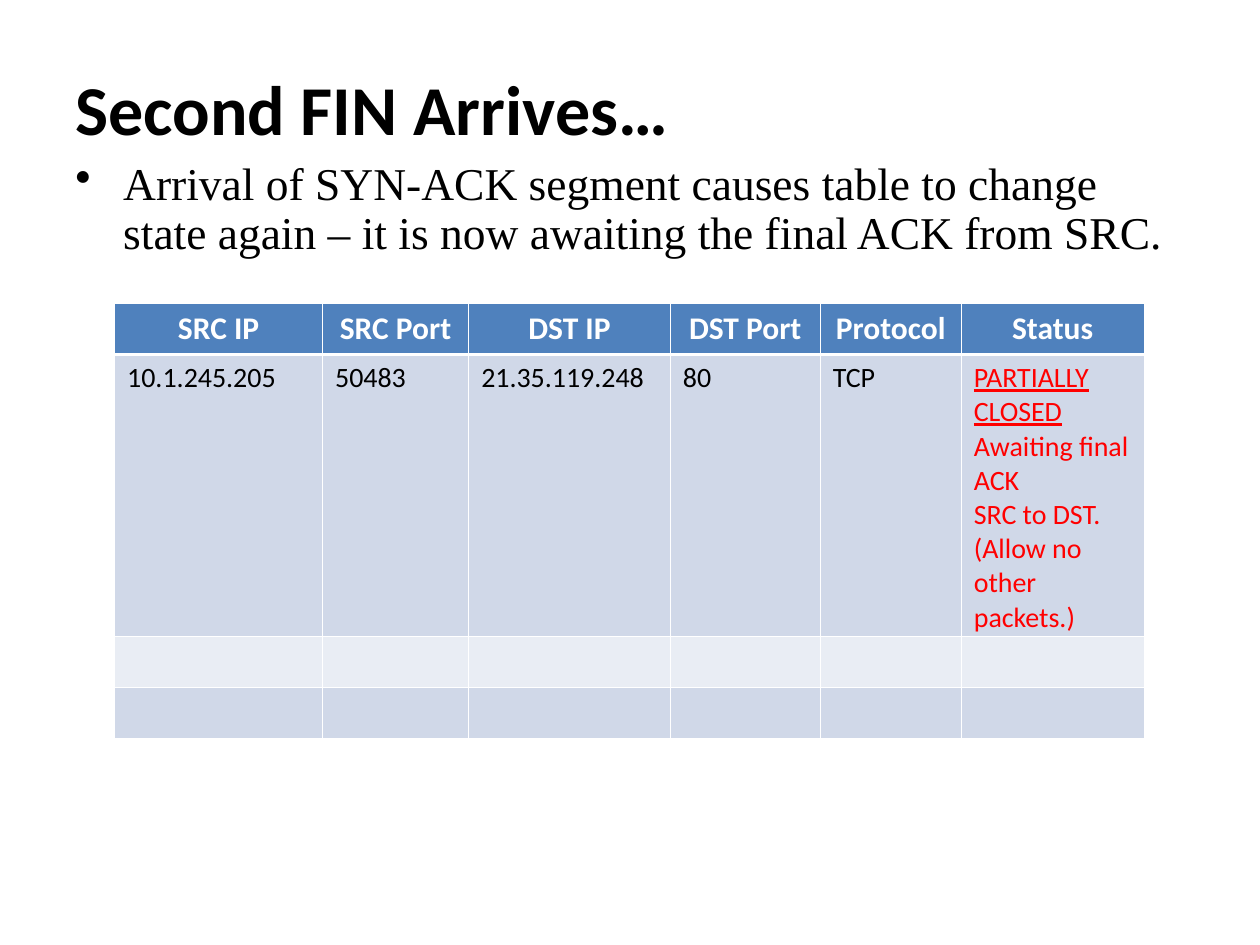
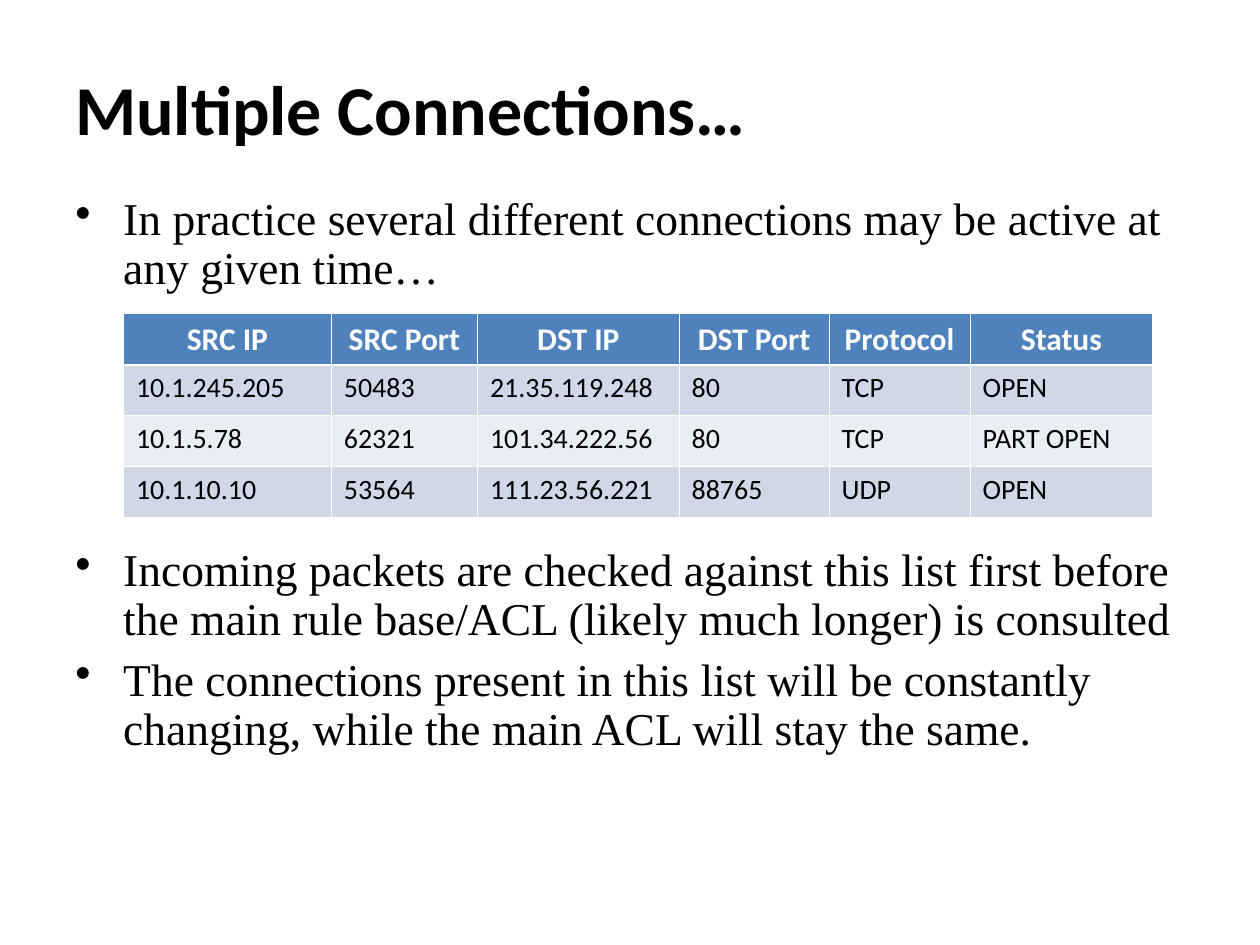
from dataclasses import dataclass

import pptx
import pptx.dml.color
import pptx.enum.text
import pptx.oxml.ns
import pptx.util
from lxml import etree

Inches = pptx.util.Inches
Pt = pptx.util.Pt


@dataclass(frozen=True)
class Theme:
    text: str = "000000"
    border: str = "FFFFFF"
    header_text: str = "FFFFFF"
    header_fill: str = "4F81BD"
    band_fills: tuple = ("D0D8E8", "E9EDF4")
    alert: str = "FF0000"
    heading_font: str = "Calibri"
    body_font: str = "Times New Roman"
    title_size: float = 40
    body_size: float = 26
    header_size: float = 18
    cell_size: float = 16
    bullet_gap: float = 6.5
    thin_line: float = 0.45
    header_line: float = 1.47


THEME = Theme()
TITLE_BOX = (0.5, 0.31, 9, 1.09)
HEADERS = ("SRC IP", "SRC Port", "DST IP", "DST Port", "Protocol", "Status")
COLUMN_WIDTHS = (1.65, 1.16, 1.6, 1.19, 1.12, 1.45)
TABLE_HEIGHT = 1.62
TABLE_ROWS = 4
CLOSING_ROW_HEIGHT = 2.23


def rgb(color):
    return pptx.dml.color.RGBColor.from_string(color)


def format_runs(paragraph, font, size, color, bold=False):
    for run in paragraph.runs:
        run.font.name = font
        run.font.size = Pt(size)
        run.font.bold = bold
        run.font.color.rgb = rgb(color)


def add_element(parent, tag, **attributes):
    return etree.SubElement(parent, pptx.oxml.ns.qn(tag), **attributes)


def add_text_frame(slide, box):
    text_frame = slide.shapes.add_textbox(*map(Inches, box)).text_frame
    text_frame.word_wrap = True
    return text_frame


def add_title(slide, box, title):
    text_frame = add_text_frame(slide, box)
    text_frame.vertical_anchor = pptx.enum.text.MSO_ANCHOR.MIDDLE
    text_frame.text = title
    format_runs(text_frame.paragraphs[0], THEME.heading_font,
                THEME.title_size, THEME.text, bold=True)


def add_bullets(slide, box, bullets, gaps=()):
    """Add bulleted paragraphs; gaps are the points before each one after the first."""
    text_frame = add_text_frame(slide, box)
    text_frame.text = "\n".join(bullets)
    for paragraph in text_frame.paragraphs:
        properties = paragraph._p.get_or_add_pPr()
        properties.set("marL", str(Inches(0.38)))
        properties.set("indent", str(-Inches(0.38)))
        bullet_color = add_element(properties, "a:buClr")
        add_element(bullet_color, "a:srgbClr", val=THEME.text)
        add_element(properties, "a:buChar", char="•")
        paragraph.line_spacing = 0.9
        format_runs(paragraph, THEME.body_font, THEME.body_size, THEME.text)
    for paragraph, gap in zip(text_frame.paragraphs[1:], gaps):
        paragraph.space_before = Pt(gap)


def set_borders(cell, top, bottom):
    properties = cell._tc.get_or_add_tcPr()
    widths = {"a:lnL": THEME.thin_line, "a:lnR": THEME.thin_line,
              "a:lnT": top, "a:lnB": bottom}
    for tag, width in widths.items():
        line = add_element(properties, tag, w=str(Pt(width)))
        fill = add_element(line, "a:solidFill")
        add_element(fill, "a:srgbClr", val=THEME.border)


def fill_cell(cell, text, row_index):
    is_header = row_index == 0
    set_borders(cell,
                top=THEME.header_line if row_index == 1 else THEME.thin_line,
                bottom=THEME.header_line if is_header else THEME.thin_line)
    cell.fill.solid()
    cell.fill.fore_color.rgb = rgb(
        THEME.header_fill if is_header else THEME.band_fills[(row_index - 1) % 2])
    cell.text = text
    for paragraph in cell.text_frame.paragraphs:
        if is_header:
            paragraph.alignment = pptx.enum.text.PP_ALIGN.CENTER
            format_runs(paragraph, THEME.heading_font, THEME.header_size,
                        THEME.header_text, bold=True)
        else:
            format_runs(paragraph, THEME.heading_font, THEME.cell_size, THEME.text)


def add_connection_table(slide, left, top, connections):
    """Add the state table, leaving rows beyond the given connections empty."""
    table = slide.shapes.add_table(
        TABLE_ROWS, len(HEADERS), Inches(left), Inches(top),
        Inches(sum(COLUMN_WIDTHS)), Inches(TABLE_HEIGHT)).table
    for column, width in zip(table.columns, COLUMN_WIDTHS):
        column.width = Inches(width)
    empty_rows = [("",) * len(HEADERS)] * (TABLE_ROWS - 1 - len(connections))
    for row_index, values in enumerate([HEADERS, *connections, *empty_rows]):
        for column_index, text in enumerate(values):
            fill_cell(table.cell(row_index, column_index), text, row_index)
    return table


def highlight_status(cell):
    """Show the status in the alert colour with its first line underlined."""
    paragraphs = cell.text_frame.paragraphs
    for paragraph in paragraphs:
        for run in paragraph.runs:
            run.font.color.rgb = rgb(THEME.alert)
    paragraphs[0].runs[0].font.underline = True


def add_slide(presentation, title):
    slide = presentation.slides.add_slide(presentation.slide_layouts[6])
    add_title(slide, TITLE_BOX, title)
    return slide


def build_second_fin(presentation):
    slide = add_slide(presentation, "Second FIN Arrives…")
    add_bullets(slide, (0.5, 1.23, 9, 4.84), [
        "Arrival of SYN-ACK segment causes table to change state again – "
        "it is now awaiting the final ACK from SRC."])
    status = ("PARTIALLY CLOSED\nAwaiting final ACK\n"
              "SRC to DST. (Allow no other packets.)")
    table = add_connection_table(slide, 0.91, 2.41, [
        ("10.1.245.205", "50483", "21.35.119.248", "80", "TCP", status)])
    table.rows[1].height = Inches(CLOSING_ROW_HEIGHT)
    highlight_status(table.cell(1, len(HEADERS) - 1))


def build_multiple_connections(presentation):
    slide = add_slide(presentation, "Multiple Connections…")
    space_for_table = 144.5
    add_bullets(slide, (0.5, 1.51, 9, 4.84), [
        "In practice several different connections may be active at any given time…",
        "Incoming packets are checked against this list first before the main "
        "rule base/ACL (likely much longer) is consulted",
        "The connections present in this list will be constantly changing, "
        "while the main ACL will stay the same.",
    ], gaps=(space_for_table, THEME.bullet_gap))
    add_connection_table(slide, 0.98, 2.49, [
        ("10.1.245.205", "50483", "21.35.119.248", "80", "TCP", "OPEN"),
        ("10.1.5.78", "62321", "101.34.222.56", "80", "TCP", "PART OPEN"),
        ("10.1.10.10", "53564", "111.23.56.221", "88765", "UDP", "OPEN"),
    ])


def main():
    presentation = pptx.Presentation()
    presentation.slide_width = Inches(10)
    presentation.slide_height = Inches(7.5)
    build_second_fin(presentation)
    build_multiple_connections(presentation)
    presentation.save("out.pptx")


if __name__ == "__main__":
    main()
